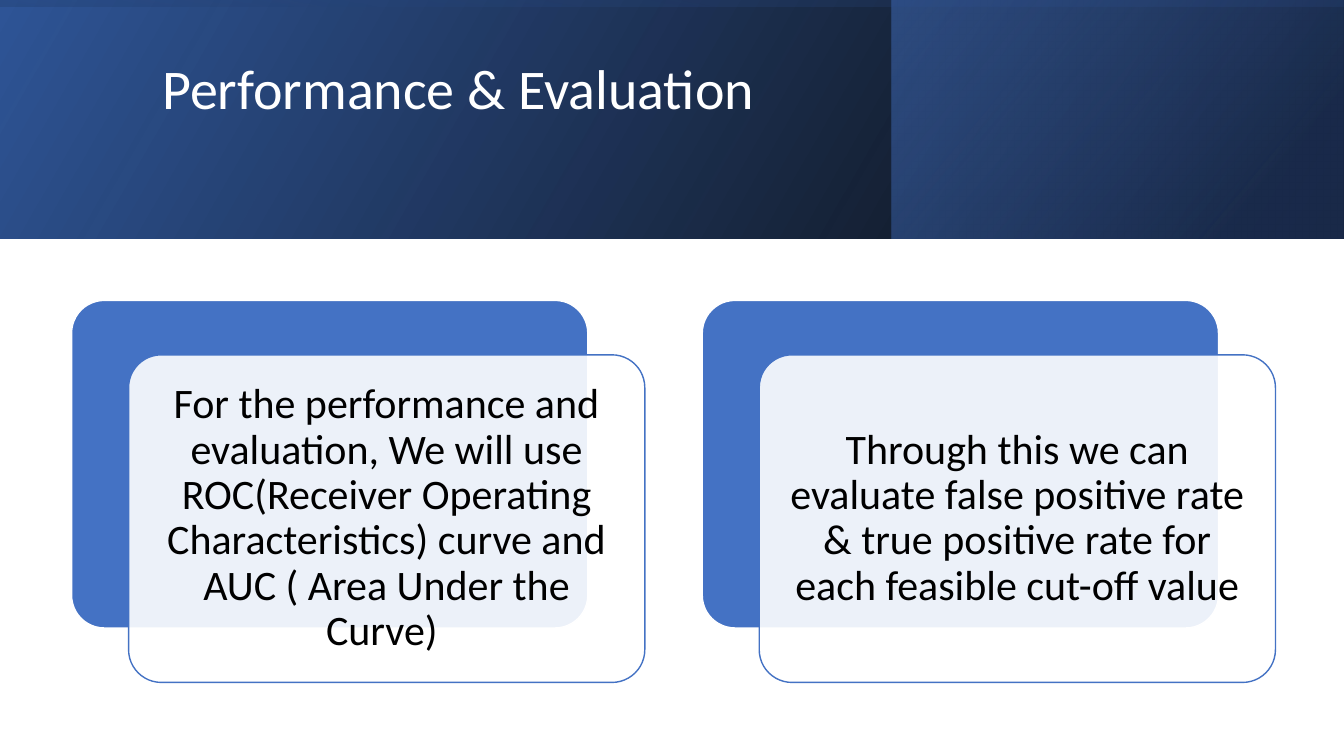
from lxml import etree
from pptx import Presentation
from pptx import util as u
from pptx.dml import color
from pptx.enum import shapes, text
from pptx.oxml import ns

TITLE = "Performance & Evaluation\v"
CARDS = [
    "For the performance and evaluation, We will use ROC(Receiver Operating "
    "Characteristics) curve and AUC ( Area Under the Curve) ",
    "Through this we can evaluate false positive rate & true positive rate "
    "for each feasible cut-off value",
]
# Header bands: box, rotation, gradient angle, stops (position, colour, opacity)
BANDS = [
    ((0, 0, 13.33, 2.37), 0, 330, [(0, "000000", 96), (100, "2F5597", 100)]),
    ((8.84, 0, 4.48, 2.37), 0, 320, [(19, "203864", 68), (100, "4472C4", 48)]),
    ((5.48, -5.48, 2.37, 13.33), 270, 350, [(23, "2F5597", 16), (99, "000000", 45)]),
]
CARD_LEFT, CARD_TOP, CARD_PITCH = 0.71, 2.98, 6.255
CARD_SIZE = (5.12, 3.25)
FRONT_SHIFT = (0.565, 0.54)
BLUE, WHITE, BLACK = "4472C4", "FFFFFF", "000000"


def rgb(value):
    return color.RGBColor.from_string(value)


def set_all(target, values):
    for name, value in values.items():
        setattr(target, name, value)


def add_block(kind, box):
    block = slide.shapes.add_shape(kind, *map(u.Inches, box))
    block.shadow.inherit = False
    return block


def set_opacity(color_element, percent):
    alpha = etree.SubElement(color_element, ns.qn("a:alpha"))
    alpha.set("val", str(percent * 1000))


def fill_gradient(band, angle, stops):
    band.fill.gradient()
    gradient = band._element.spPr.find(ns.qn("a:gradFill"))
    stop_list = gradient.find(ns.qn("a:gsLst"))
    for old_stop in list(stop_list):
        stop_list.remove(old_stop)
    for position, value, opacity in stops:
        stop = etree.SubElement(stop_list, ns.qn("a:gs"), pos=str(position * 1000))
        shade = etree.SubElement(stop, ns.qn("a:srgbClr"), val=value)
        set_opacity(shade, opacity)
    gradient.find(ns.qn("a:lin")).set("ang", str(angle * 60000))


def write(frame, words, size, ink, align):
    frame.text = words
    set_all(frame, {"word_wrap": True, "auto_size": text.MSO_AUTO_SIZE.NONE,
                    "vertical_anchor": text.MSO_ANCHOR.MIDDLE})
    paragraph = frame.paragraphs[0]
    set_all(paragraph, {"alignment": align, "line_spacing": 0.9})
    set_all(paragraph.font, {"size": u.Pt(size), "name": "Calibri"})
    paragraph.font.color.rgb = rgb(ink)
    for run in paragraph.runs:
        set_all(run.font, {"size": u.Pt(size), "name": "Calibri"})
        run.font.color.rgb = rgb(ink)


def add_card(left, top, fill, line):
    card = add_block(shapes.MSO_SHAPE.ROUNDED_RECTANGLE, (left, top, *CARD_SIZE))
    card.adjustments[0] = 0.1
    card.fill.solid()
    card.fill.fore_color.rgb = rgb(fill)
    card.line.color.rgb = rgb(line)
    card.line.width = u.Pt(1)
    return card


prs = Presentation()
set_all(prs, {"slide_width": u.Inches(13.33), "slide_height": u.Inches(7.5)})
slide = prs.slides.add_slide(prs.slide_layouts[5])

# Header
for box, rotation, angle, stops in BANDS:
    band = add_block(shapes.MSO_SHAPE.RECTANGLE, box)
    band.rotation = rotation
    band._element.spPr.find(ns.qn("a:xfrm")).set("flipH", "1")
    band.line.fill.background()
    fill_gradient(band, angle, stops)

# Title, brought in front of the bands
title = slide.shapes.title
set_all(title, {"left": u.Inches(1.51), "top": u.Inches(0.38),
                "width": u.Inches(10.63), "height": u.Inches(1.72)})
write(title.text_frame, TITLE, 40, WHITE, text.PP_ALIGN.LEFT)
slide.shapes._spTree.append(title._element)

# Cards: a blue back and a translucent front that holds the words
for index, words in enumerate(CARDS):
    left = CARD_LEFT + index * CARD_PITCH
    add_card(left, CARD_TOP, BLUE, WHITE)
    front = add_card(left + FRONT_SHIFT[0], CARD_TOP + FRONT_SHIFT[1], WHITE, BLUE)
    set_opacity(front._element.spPr.find(ns.qn("a:solidFill"))[0], 90)
    inset = u.Inches(0.12)
    set_all(front.text_frame, {"margin_" + side: inset
                               for side in ("left", "top", "right", "bottom")})
    write(front.text_frame, words, 30, BLACK, text.PP_ALIGN.CENTER)

prs.save("out.pptx")
